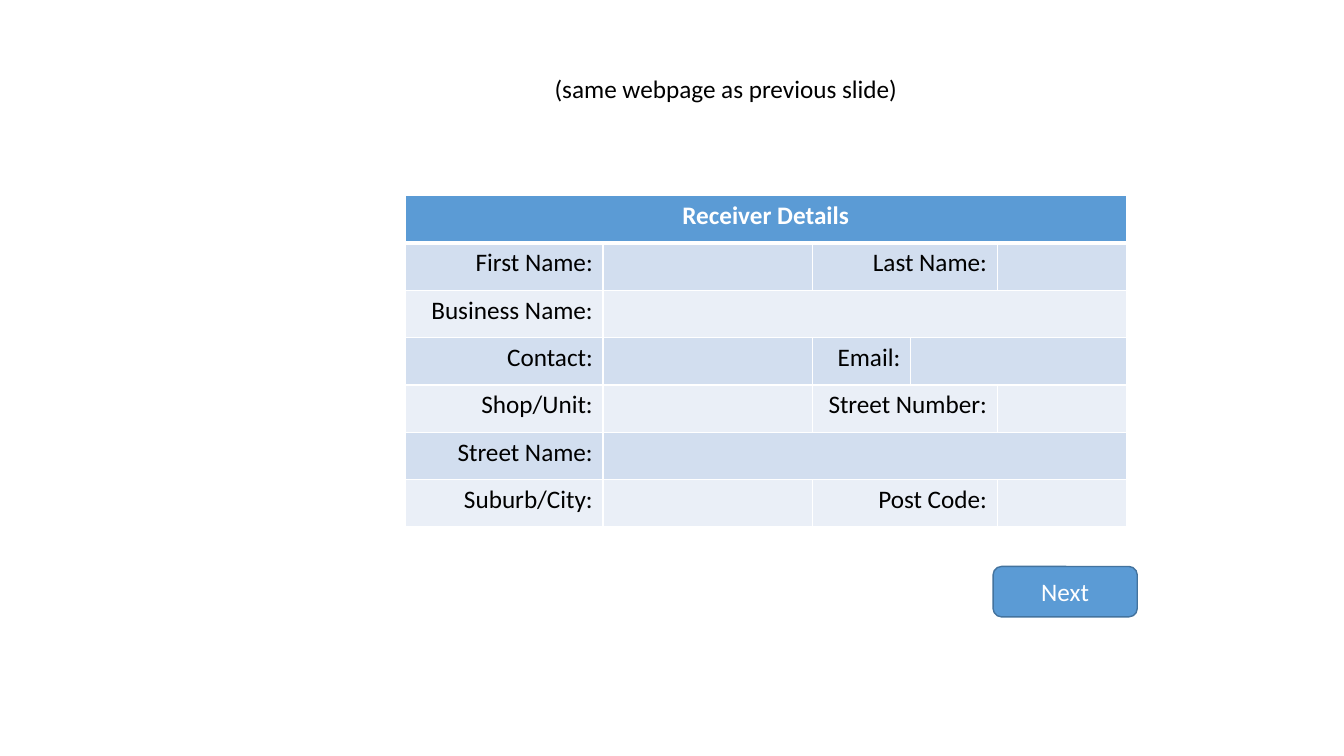
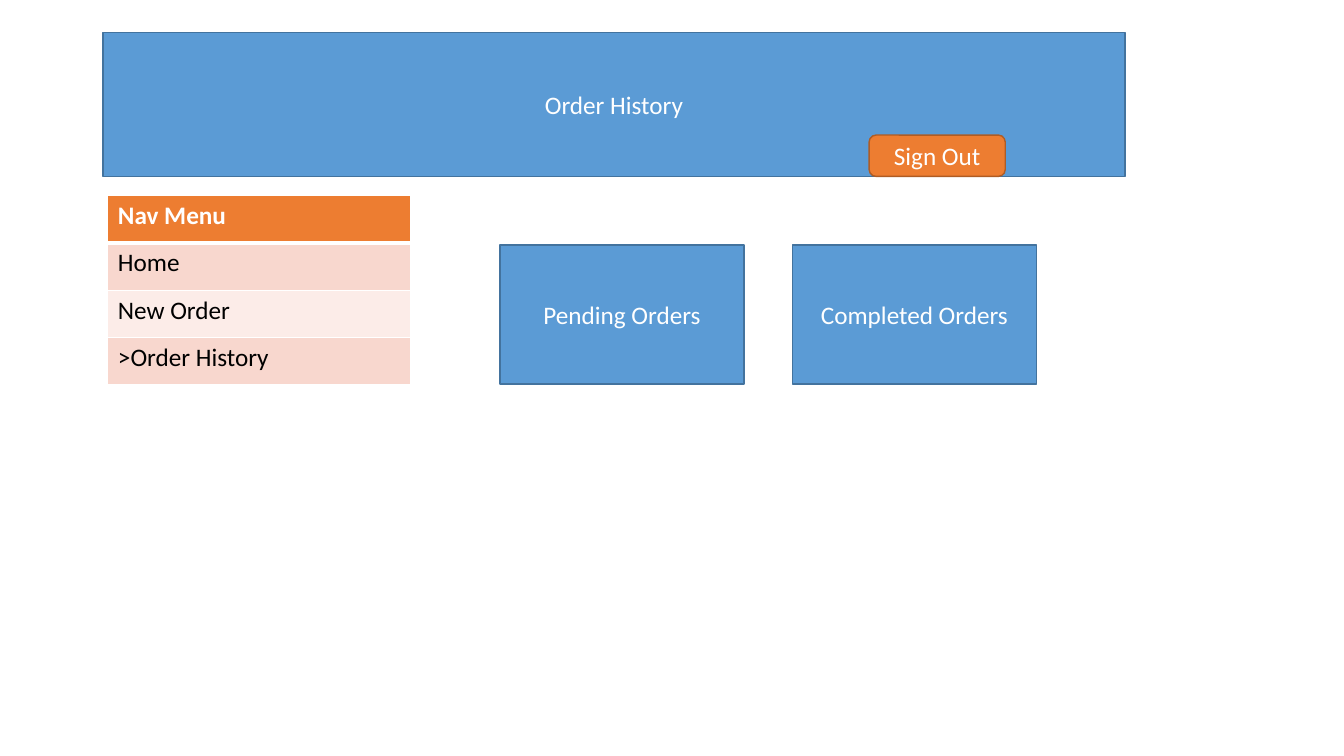
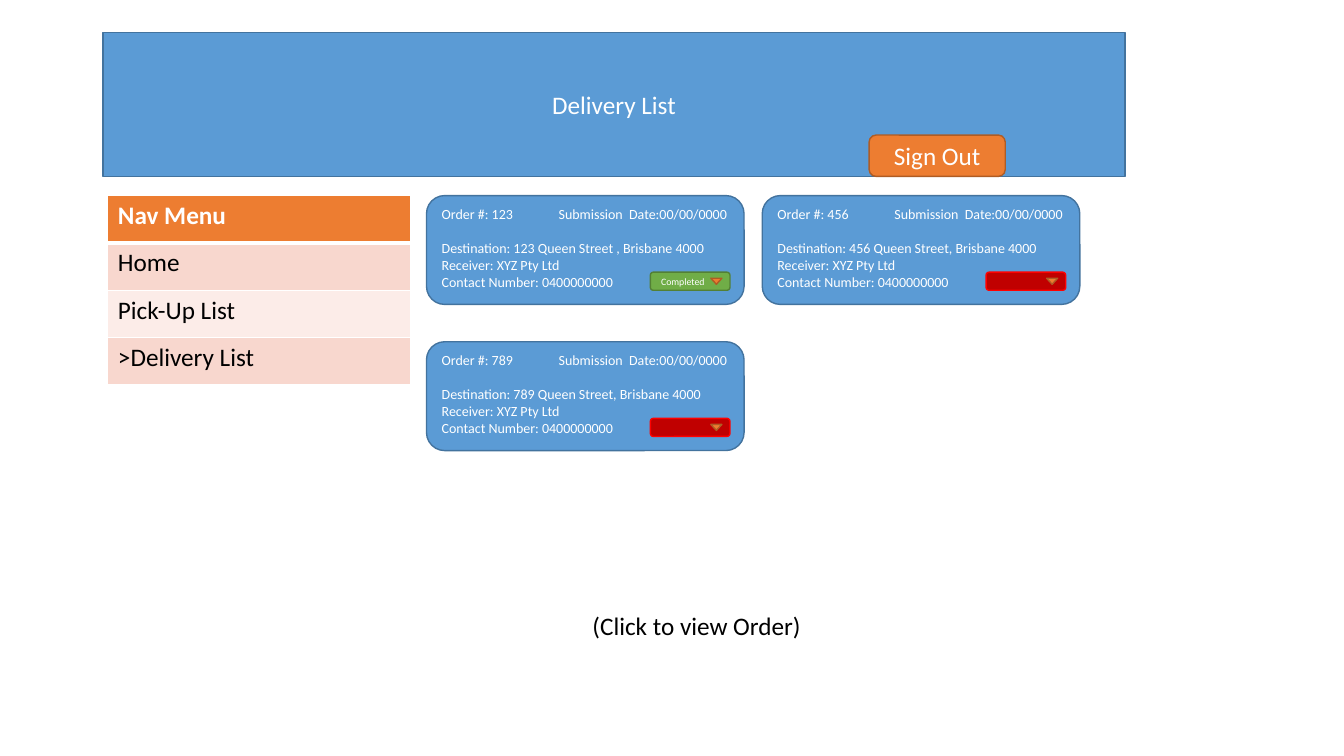
from dataclasses import dataclass

import pptx
import pptx.dml.color
import pptx.enum.shapes
import pptx.enum.text
import pptx.oxml
import pptx.oxml.ns
import pptx.util
from lxml import etree

PX = 9144  # EMU in one px, 100 px to the inch
FONT = "Calibri"
COLORS = {
    "white": "FFFFFF", "black": "000000",
    "blue": "5B9BD5", "blue_line": "43739E",
    "blue_band": "D2DEEF", "blue_pale": "EAEFF7",
    "orange": "ED7D31", "orange_line": "AF5C24",
    "orange_band": "F8D7CE", "orange_pale": "FCECE8",
    "green": "70AD47", "green_line": "538035",
    "red": "C00000", "red_line": "FF0000",
}
RECT = pptx.enum.shapes.MSO_SHAPE.RECTANGLE
ROUND = pptx.enum.shapes.MSO_SHAPE.ROUNDED_RECTANGLE
TRIANGLE = pptx.enum.shapes.MSO_SHAPE.ISOSCELES_TRIANGLE
LEFT = pptx.enum.text.PP_ALIGN.LEFT
CENTER = pptx.enum.text.PP_ALIGN.CENTER
RIGHT = pptx.enum.text.PP_ALIGN.RIGHT
MIDDLE = pptx.enum.text.MSO_ANCHOR.MIDDLE
TOP = pptx.enum.text.MSO_ANCHOR.TOP


@dataclass(frozen=True)
class Box:
    x: int
    y: int
    w: int
    h: int

    def emu(self) -> tuple[int, ...]:
        return tuple(v * PX for v in (self.x, self.y, self.w, self.h))


@dataclass(frozen=True)
class Field:
    """A table cell: its text and the columns it covers."""
    text: str
    span: int = 1


@dataclass(frozen=True)
class Order:
    number: str
    address: str
    status: str = ""


ROW_H = 47
HEADER = Box(102, 32, 1014, 143)
SIGN_OUT = Box(862, 134, 135, 41)
NAV_X, BODY_Y, NAV_W = 107, 194, 300

RECEIVER_COLS = [196, 208, 97, 86, 128]
RECEIVER_ROWS = [
    [Field("Receiver Details", 5)],
    [Field("First Name:"), Field(""), Field("Last Name:", 2), Field("")],
    [Field("Business Name:"), Field("", 4)],
    [Field("Contact:"), Field(""), Field("Email:"), Field("", 2)],
    [Field("Shop/Unit:"), Field(""), Field("Street Number:", 2), Field("")],
    [Field("Street Name:"), Field("", 4)],
    [Field("Suburb/City:"), Field(""), Field("Post Code:", 2), Field("")],
]

ORDERS = [
    Order("123", "123 Queen Street , Brisbane 4000", "Completed"),
    Order("456", "456 Queen Street, Brisbane 4000"),
    Order("789", "789 Queen Street, Brisbane 4000"),
]


def rgb(name: str) -> pptx.dml.color.RGBColor:
    return pptx.dml.color.RGBColor.from_string(COLORS[name])


def style(p, size: int, color: str, align=CENTER, bold: bool = False) -> None:
    p.alignment = align
    f = p.font
    f.name, f.size, f.bold = FONT, pptx.util.Pt(size), bold
    f.color.rgb = rgb(color)


def write(tf, lines: list[str], size: int, color: str, align, anchor) -> None:
    tf.word_wrap = True
    tf.vertical_anchor = anchor
    for i, line in enumerate(lines):
        p = tf.paragraphs[0] if i == 0 else tf.add_paragraph()
        p.text = line
        style(p, size, color, align)


def add_shape(s, kind, box: Box, color: str, lines: list[str] | None = None,
              size: int = 18, align=CENTER, anchor=MIDDLE):
    sp = s.shapes.add_shape(kind, *box.emu())
    sp.shadow.inherit = False
    sp.fill.solid()
    sp.fill.fore_color.rgb = rgb(color)
    sp.line.color.rgb = rgb(color + "_line")
    sp.line.width = pptx.util.Pt(1)
    if lines:
        write(sp.text_frame, lines, size, "white", align, anchor)
    return sp


def add_note(s, box: Box, text: str) -> None:
    sp = s.shapes.add_textbox(*box.emu())
    write(sp.text_frame, [text], 18, "black", CENTER, MIDDLE)


def set_borders(cell, top: int, bottom: int) -> None:
    """Give a cell white borders; widths in points."""
    tc_pr = cell._tc.get_or_add_tcPr()
    for i, (side, width) in enumerate(
            [("L", 1), ("R", 1), ("T", top), ("B", bottom)]):
        ln = etree.Element(pptx.oxml.ns.qn("a:ln" + side),
                           w=str(pptx.util.Pt(width)))
        fill = etree.SubElement(ln, pptx.oxml.ns.qn("a:solidFill"))
        etree.SubElement(fill, pptx.oxml.ns.qn("a:srgbClr"),
                         val=COLORS["white"])
        tc_pr.insert(i, ln)


def add_table(s, x: int, y: int, cols: list[int], rows: list[list[Field]],
              color: str, head_align, align) -> None:
    box = Box(x, y, sum(cols), ROW_H * len(rows))
    table = s.shapes.add_table(len(rows), len(cols), *box.emu()).table
    table.first_row = table.horz_banding = False
    for column, width in zip(table.columns, cols):
        column.width = width * PX
    for i, fields in enumerate(rows):
        table.rows[i].height = ROW_H * PX
        head = i == 0
        fill = color if head else color + ("_band" if i % 2 else "_pale")
        for j in range(len(cols)):
            cell = table.cell(i, j)
            cell.fill.solid()
            cell.fill.fore_color.rgb = rgb(fill)
            set_borders(cell, 3 if i == 1 else 1, 3 if head else 1)
        j = 0
        for field in fields:
            cell = table.cell(i, j)
            if field.span > 1:
                cell.merge(table.cell(i, j + field.span - 1))
            p = cell.text_frame.paragraphs[0]
            p.text = field.text
            style(p, 18, "white" if head else "black",
                  head_align if head else align, head)
            j += field.span


def add_page_frame(s, title: str, links: list[str]) -> None:
    """Header band, sign-out button and menu; the last link is current."""
    add_shape(s, RECT, HEADER, "blue", [title])
    add_shape(s, ROUND, SIGN_OUT, "orange", ["Sign Out"])
    labels = ["Nav Menu", *links[:-1], ">" + links[-1]]
    add_table(s, NAV_X, BODY_Y, [NAV_W], [[Field(t)] for t in labels],
              "orange", LEFT, LEFT)


def add_order_card(s, x: int, y: int, order: Order) -> None:
    lines = [f"Order #: {order.number}\tSubmission  Date:00/00/0000",
             f"Destination: {order.address}",
             "Receiver: XYZ Pty Ltd",
             "Contact Number: 0400000000"]
    sp = add_shape(s, ROUND, Box(x, y, 315, 108), "blue", lines, 10, LEFT, TOP)
    first, second = sp.text_frame.paragraphs[:2]
    second.space_before = pptx.util.Pt(12)
    tabs = etree.Element(pptx.oxml.ns.qn("a:tabLst"))
    etree.SubElement(tabs, pptx.oxml.ns.qn("a:tab"),
                     pos=str(116 * PX), algn="l")
    p_pr = first._p.get_or_add_pPr()
    p_pr.find(pptx.oxml.ns.qn("a:defRPr")).addprevious(tabs)
    # Status drop-down
    add_shape(s, ROUND, Box(x + 222, y + 76, 79, 18),
              "green" if order.status else "red",
              [order.status] if order.status else None, 7, LEFT)
    arrow = add_shape(s, TRIANGLE, Box(x + 282, y + 82, 11, 6), "orange")
    arrow.rotation = 180


def receiver_slide(s) -> None:
    add_table(s, 402, BODY_Y, RECEIVER_COLS, RECEIVER_ROWS,
              "blue", CENTER, RIGHT)
    add_note(s, Box(402, 48, 636, 79), "(same webpage as previous slide)")
    add_shape(s, ROUND, Box(985, 562, 143, 50), "blue", ["Next"])


def history_slide(s) -> None:
    add_page_frame(s, "Order History", ["Home", "New Order", "Order History"])
    for i, label in enumerate(["Pending Orders", "Completed Orders"]):
        add_shape(s, RECT, Box(496 + 290 * i, 243, 242, 138), "blue", [label])


def delivery_slide(s) -> None:
    add_page_frame(s, "Delivery List",
                   ["Home", "Pick-Up List", "Delivery List"])
    for i, order in enumerate(ORDERS):
        row, col = divmod(i, 2)
        add_order_card(s, 423 + 333 * col, BODY_Y + 145 * row, order)
    add_note(s, Box(338, 545, 706, 151), "(Click to view Order)")


def main() -> None:
    prs = pptx.Presentation()
    prs.slide_width, prs.slide_height = 1333 * PX, 750 * PX
    for build in (receiver_slide, history_slide, delivery_slide):
        build(prs.slides.add_slide(prs.slide_layouts[6]))
    prs.save("out.pptx")


if __name__ == "__main__":
    main()
